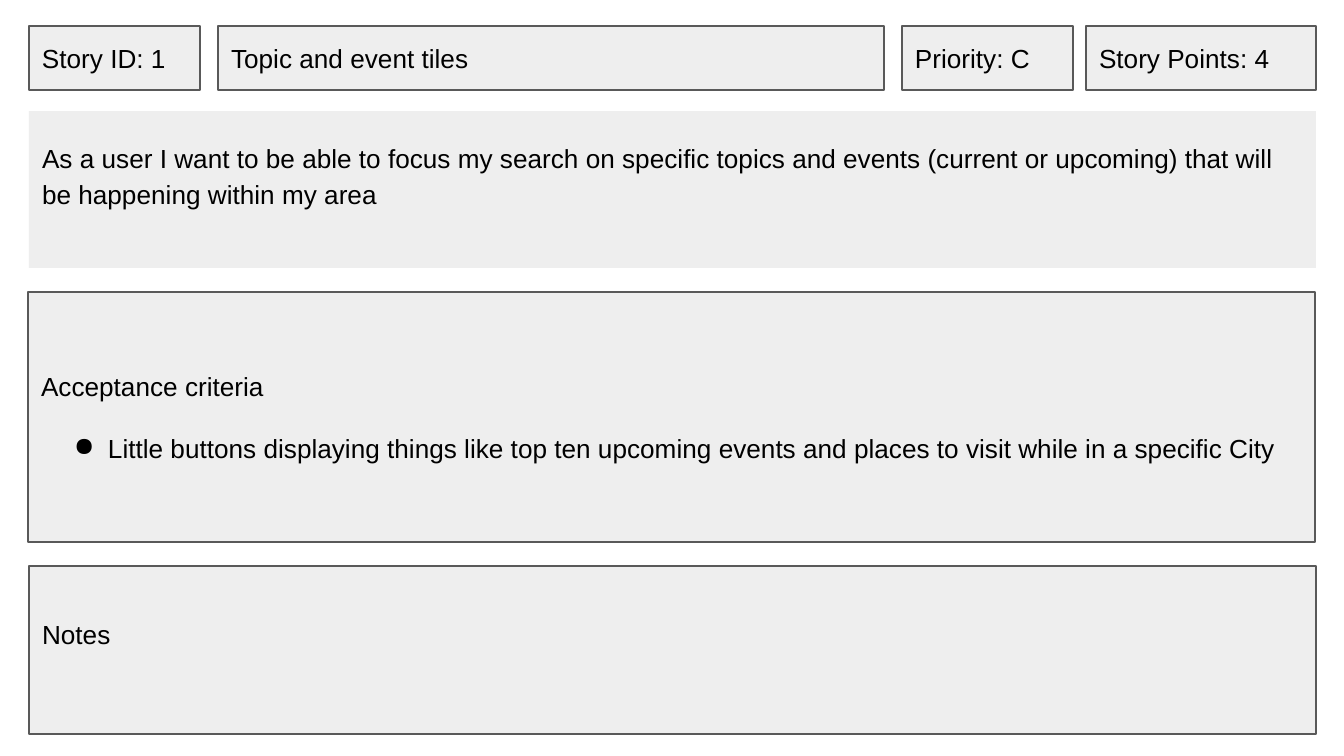
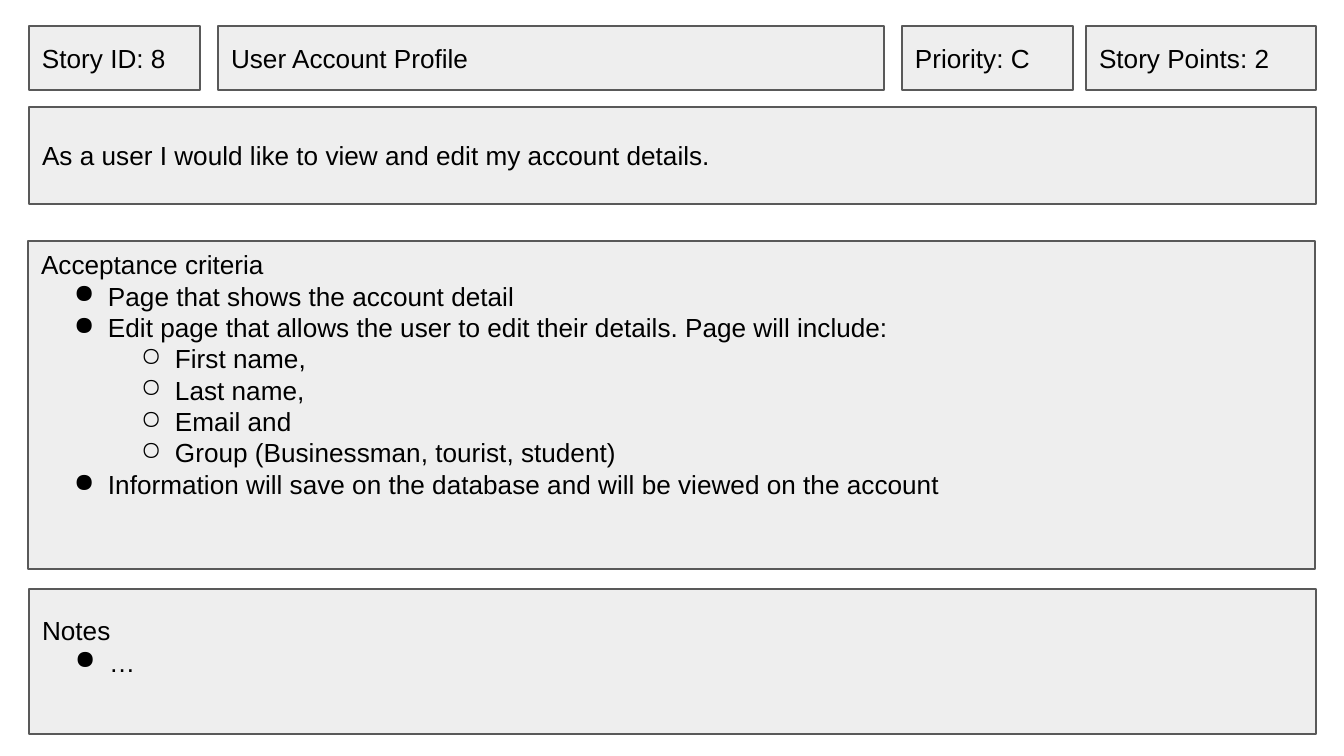
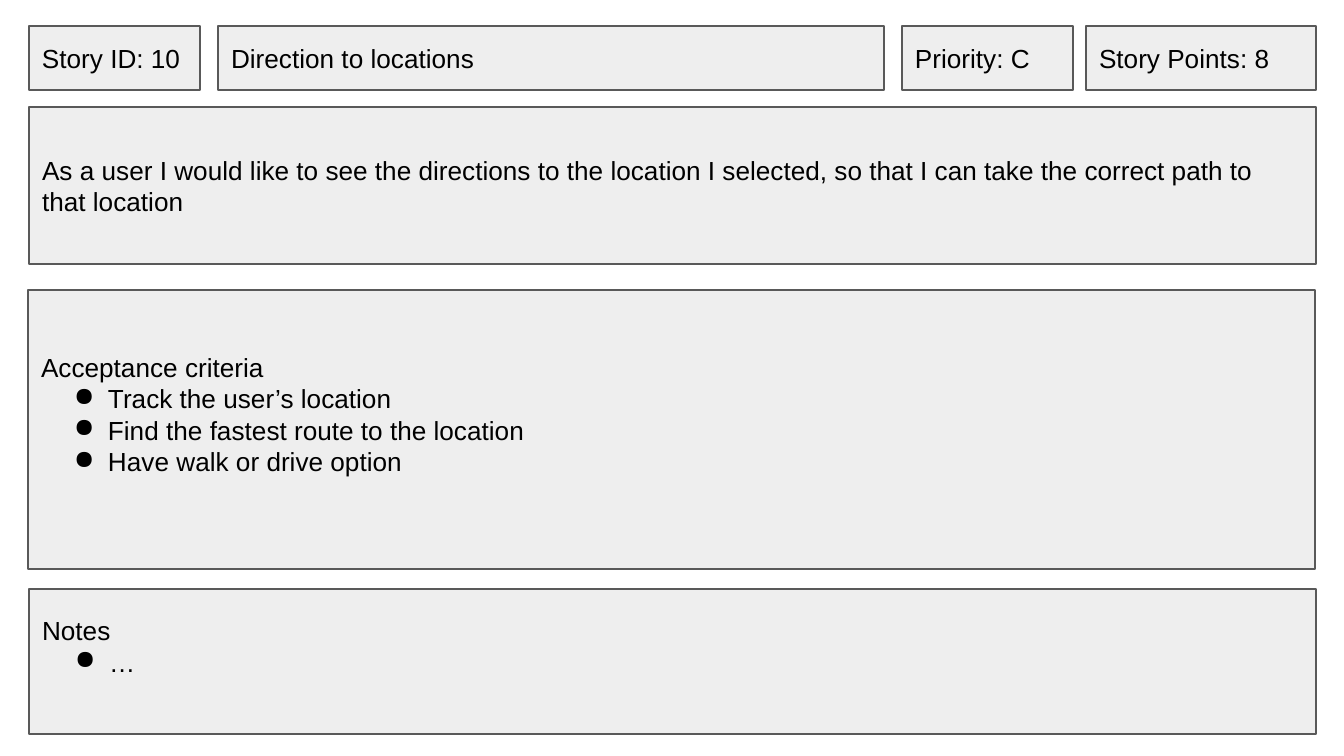
import pptx
import pptx.util
import pptx.dml.color
import pptx.enum.shapes
import pptx.enum.text
import pptx.oxml.ns
from lxml import etree

FILL, EDGE, INK = "EEEEEE", "595959", "000000"
FONT, SIZE = "Arial", 14
SCALE = 914400 / 134.4
WIDE, HIGH = 1344, 756
PAD, LINE = 13, 31            # inset and height of one text line
LEFT, SPAN, BASE = 29, 1287, 734
HEAD_Y, HEAD_H = 26, 64
HEADS = [(29, 171), (218, 666), (902, 171), (1086, 230)]
STEP, HANG = 67, 34           # indent of each bullet level
MARKS = "●○"

# Each panel: top, height, lines left free below the text.
# Each bullet: level, words.
STORIES = [
    {
        "id": 1, "name": "Topic and event tiles", "rank": "C", "points": 4,
        "want": "As a user I want to be able to focus my search on specific topics "
                "and events (current or upcoming) that will be happening within my area",
        "want_box": (111, 157, 1), "framed": False, "lead": 1.15,
        "tests": [(0, "Little buttons displaying things like top ten upcoming events "
                      "and places to visit while in a specific City")],
        "test_box": (292, 250, 0), "gap": 16.8,
        "notes": [], "note_top": 566,
    },
    {
        "id": 8, "name": "User Account Profile", "rank": "C", "points": 2,
        "want": "As a user I would like to view and edit my account details.",
        "want_box": (107, 97, 0), "framed": True, "lead": None,
        "tests": [
            (0, "Page that shows the account detail"),
            (0, "Edit page that allows the user to edit their details. Page will include:"),
            (1, "First name,"),
            (1, "Last name,"),
            (1, "Email and"),
            (1, "Group (Businessman, tourist, student)"),
            (0, "Information will save on the database and will be viewed on the account"),
        ],
        "test_box": (241, 328, 2), "gap": None,
        "notes": [(0, "…")], "note_top": 589,
    },
    {
        "id": 10, "name": "Direction to locations", "rank": "C", "points": 8,
        "want": "As a user I would like to see the directions to the location I selected, "
                "so that I can take the correct path to that location",
        "want_box": (107, 157, 0), "framed": True, "lead": None,
        "tests": [
            (0, "Track the user’s location"),
            (0, "Find the fastest route to the location"),
            (0, "Have walk or drive option"),
        ],
        "test_box": (290, 279, 1), "gap": None,
        "notes": [(0, "…")], "note_top": 589,
    },
]


def px(n):
    return pptx.util.Emu(round(n * SCALE))


def tint(code):
    return pptx.dml.color.RGBColor.from_string(code)


def write(para, words):
    para.alignment = pptx.enum.text.PP_ALIGN.LEFT
    run = para.add_run()
    run.text = words
    run.font.name = FONT
    run.font.size = pptx.util.Pt(SIZE)
    run.font.color.rgb = tint(INK)


def mark(para, level):
    """Make the paragraph a bullet of the given level."""
    para.level = level
    props = para._p.get_or_add_pPr()
    props.set("marL", str(px(STEP * (level + 1))))
    props.set("indent", str(-px(HANG)))
    dot = etree.SubElement(props, pptx.oxml.ns.qn("a:buChar"))
    dot.set("char", MARKS[level])


def panel(slide, box, words, items=(), free=0, framed=True, lead=None, gap=None):
    """Draw a grey box with a first line and bullets below it."""
    kind = pptx.enum.shapes.MSO_SHAPE.RECTANGLE
    shape = slide.shapes.add_shape(kind, *map(px, box))
    shape.shadow.inherit = False
    shape.fill.solid()
    shape.fill.fore_color.rgb = tint(FILL)
    if framed:
        shape.line.color.rgb = tint(EDGE)
        shape.line.width = pptx.util.Pt(0.75)
    else:
        shape.line.fill.background()
    frame = shape.text_frame
    frame.word_wrap = True
    frame.vertical_anchor = pptx.enum.text.MSO_ANCHOR.MIDDLE
    frame.margin_left = frame.margin_right = frame.margin_top = px(PAD)
    frame.margin_bottom = px(PAD + free * LINE)
    first = frame.paragraphs[0]
    if lead:
        first.line_spacing = lead
    write(first, words)
    for level, text in items:
        para = frame.add_paragraph()
        mark(para, level)
        if gap:
            para.space_before = pptx.util.Pt(gap)
        write(para, text)


def card(slide, story):
    heads = [f"Story ID: {story['id']}", story["name"],
             f"Priority: {story['rank']}", f"Story Points: {story['points']}"]
    for (x, w), words in zip(HEADS, heads):
        panel(slide, (x, HEAD_Y, w, HEAD_H), words)
    top, tall, free = story["want_box"]
    panel(slide, (LEFT, top, SPAN, tall), story["want"], free=free,
          framed=story["framed"], lead=story["lead"])
    top, tall, free = story["test_box"]
    panel(slide, (LEFT - 1, top, SPAN, tall), "Acceptance criteria",
          story["tests"], free, gap=story["gap"])
    top = story["note_top"]
    panel(slide, (LEFT, top, SPAN, BASE - top), "Notes", story["notes"], 1)


def main():
    deck = pptx.Presentation()
    deck.slide_width, deck.slide_height = px(WIDE), px(HIGH)
    for story in STORIES:
        card(deck.slides.add_slide(deck.slide_layouts[6]), story)
    deck.save("out.pptx")


if __name__ == "__main__":
    main()
